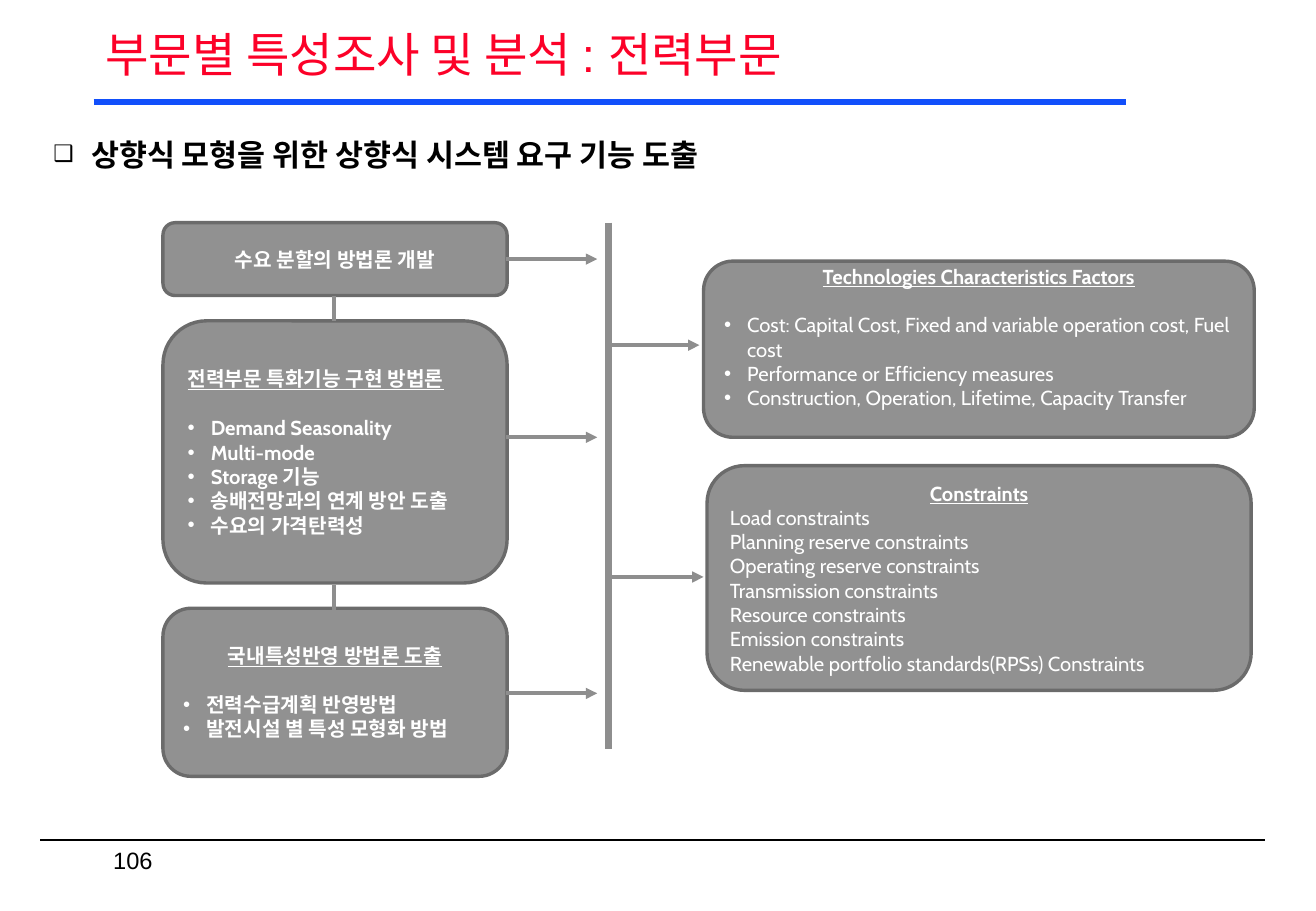
from pptx import Presentation, util as u
from pptx.dml.color import RGBColor
from pptx.enum import shapes as sh, text as tx
from pptx.oxml.ns import qn
from lxml import etree

theme = dict(
    title="FC0128", rule="114FFB", ink="000000", fill="919191",
    edge="6B6B6B", wire="8E8E8E", white="FFFFFF",
    head=28, lead=18, page=14, body=12, gap=14.6,
    sans="Arial", font="Cabin")
LEFT, MID = tx.PP_ALIGN.LEFT, tx.PP_ALIGN.CENTER
TOP, CORE = tx.MSO_ANCHOR.TOP, tx.MSO_ANCHOR.MIDDLE

deck = Presentation()
deck.slide_width, deck.slide_height = u.Inches(10.83), u.Inches(7.5)
page = deck.slides.add_slide(deck.slide_layouts[6])
COLS, ROWS = 130, 90
col, row = deck.slide_width / COLS, deck.slide_height / ROWS


def write(frame, text, size=theme["body"], color=theme["white"], font=theme["font"],
          bold=False, under=False, align=LEFT, gap=0, lead=None, mark=None, dent=0.19, scale=100):
    para = frame.paragraphs[0]
    if para.runs:
        para = frame.add_paragraph()
    para.alignment, para.space_before = align, u.Pt(gap)
    if lead:
        para.line_spacing = lead
    if mark:
        prop = para._p.get_or_add_pPr()
        prop.set("marL", str(u.Inches(dent)))
        prop.set("indent", str(-u.Inches(dent)))
        etree.SubElement(prop, qn("a:buSzPct")).set("val", str(scale * 1000))
        etree.SubElement(prop, qn("a:buFont")).set("typeface", "Arial")
        etree.SubElement(prop, qn("a:buChar")).set("char", mark)
    run = para.add_run()
    run.text = text
    run.font.name, run.font.size = font, u.Pt(size)
    run.font.bold, run.font.underline = bold, under
    run.font.color.rgb = RGBColor.from_string(color)


def wire(x1, y1, x2, y2, color=theme["wire"], width=2.25, arrow=False):
    link = page.shapes.add_connector(
        sh.MSO_CONNECTOR.STRAIGHT, int(x1 * col), int(y1 * row), int(x2 * col), int(y2 * row))
    link.line.color.rgb = RGBColor.from_string(color)
    link.line.width = u.Pt(width)
    if arrow:
        etree.SubElement(link.line._get_or_add_ln(), qn("a:tailEnd")).set("type", "triangle")
    etree.SubElement(link._element.spPr, qn("a:effectLst"))


wire(4, 83, 125, 83, theme["ink"], 1)
wire(9.25, 10.1, 111.25, 10.1, theme["rule"], 3.75)

labels = [
    (9.25, 2, 111.5, 7.4, CORE, "부문별 특성조사 및 분석 : 전력부문",
     dict(size=theme["head"], color=theme["title"], font=theme["sans"],
          align=tx.PP_ALIGN.JUSTIFY, lead=0.9)),
    (10, 82, 27, 6, CORE, "106",
     dict(size=theme["page"], color=theme["ink"], font=theme["sans"])),
    (4.1, 12.1, 112, 7.9, TOP, "상향식 모형을 위한 상향식 시스템 요구 기능 도출",
     dict(size=theme["lead"], color=theme["ink"], bold=True, lead=1.2,
          mark="❑", dent=0.31, scale=75)),
]
for x, y, w, h, anchor, text, form in labels:
    frame = page.shapes.add_textbox(
        int(x * col), int(y * row), int(w * col), int(h * row)).text_frame
    frame.word_wrap, frame.vertical_anchor = True, anchor
    write(frame, text, **form)

boxes = [
    (69.5, 25.8, 54.4, 17.4, "Technologies Characteristics Factors",
     dict(align=MID, under=True),
     ["Cost: Capital Cost, Fixed and variable operation cost, Fuel cost",
      "Performance or Efficiency measures",
      "Construction, Operation, Lifetime, Capacity Transfer"],
     dict(mark="•"), theme["gap"], theme["gap"]),
    (69.85, 46, 53.75, 22.2, "Constraints", dict(align=MID, under=True),
     ["Load constraints", "Planning reserve constraints",
      "Operating reserve constraints", "Transmission constraints",
      "Resource constraints", "Emission constraints",
      "Renewable portfolio standards(RPSs) Constraints"], {}, 0, 0),
    (16.1, 22, 34, 7.2, "수요 분할의 방법론 개발", dict(align=MID), [], {}, 0, 0),
    (16.1, 31.7, 34, 25.9, "전력부문 특화기능 구현 방법론", dict(under=True),
     ["Demand Seasonality", "Multi-mode", "Storage 기능",
      "송배전망과의 연계 방안 도출", "수요의 가격탄력성"],
     dict(mark="•", bold=True), theme["gap"], 0),
    (16.1, 60.1, 34, 16.6, "국내특성반영 방법론 도출", dict(align=MID, under=True),
     ["전력수급계획 반영방법", "발전시설 별 특성 모형화 방법"],
     dict(mark="•", bold=True), theme["gap"], 0),
]
for x, y, w, h, head, form, items, style, gap, foot in boxes:
    box = page.shapes.add_shape(
        sh.MSO_SHAPE.ROUNDED_RECTANGLE,
        int(x * col), int(y * row), int(w * col), int(h * row))
    box.shadow.inherit = False
    box.fill.solid()
    box.fill.fore_color.rgb = RGBColor.from_string(theme["fill"])
    box.line.color.rgb = RGBColor.from_string(theme["edge"])
    box.line.width = u.Pt(2)
    frame = box.text_frame
    frame.word_wrap, frame.vertical_anchor = True, CORE
    frame.margin_bottom = u.Inches(0.05) + u.Pt(foot)
    write(frame, head, bold=True, **form)
    for i, item in enumerate(items):
        write(frame, item, gap=0 if i else gap, **style)

wire(60.1, 22, 60.1, 74, width=4.5)
for y in (29.2, 57.8):
    wire(33, y, 33, y + 2.5)
for x, y in ((50, 25.6), (50, 43.2), (50, 68.5), (60.1, 34.1), (60.5, 57)):
    wire(x, y, x + 9, y, arrow=True)

deck.save("out.pptx")
